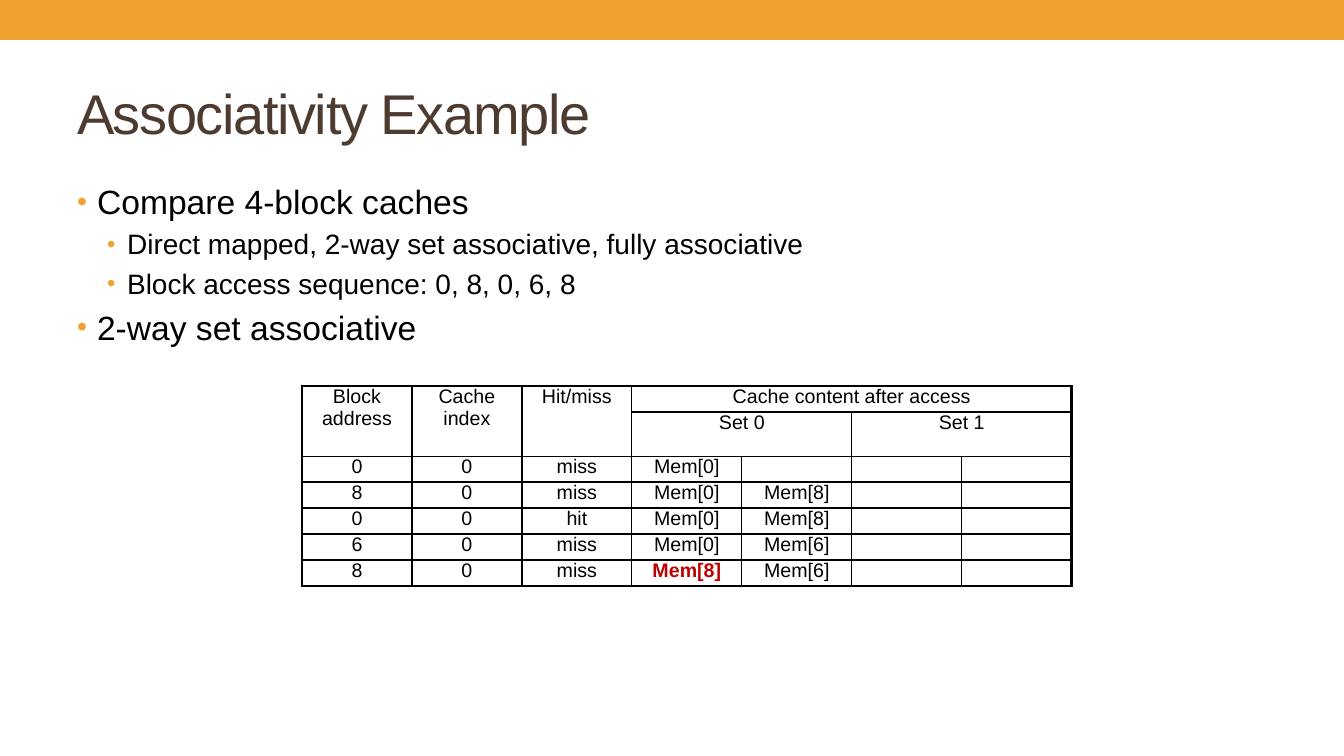
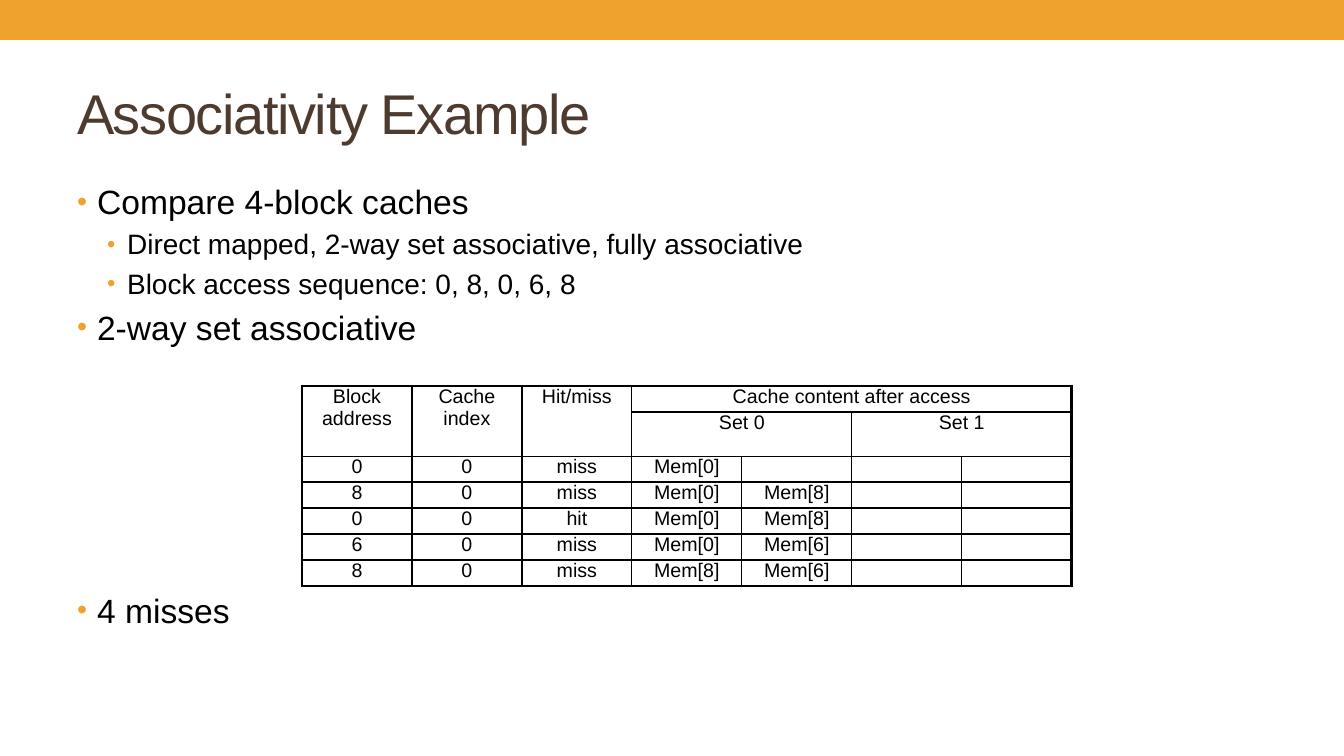
from lxml.etree import SubElement
from pptx import Presentation
from pptx.dml.color import RGBColor
from pptx.enum.shapes import MSO_SHAPE
from pptx.enum.text import MSO_ANCHOR, MSO_AUTO_SIZE, PP_ALIGN
from pptx.oxml.ns import qn
from pptx.util import Pt

EMU_PER_PX = 914400 / 100.8
SLIDE_W, SLIDE_H = 1344, 756
FONT = "Arial"
BLACK, ORANGE, BROWN, RED = "000000", "F0A22E", "4E3B30", "C00000"
LEVEL_SIZES = (24, 20)
LEVEL_INDENTS = (20, 50)
BULLET_HANG = 20

BULLETS = [
    (0, "Compare 4-block caches"),
    (1, "Direct mapped, 2-way set associative, fully associative"),
    (1, "Block access sequence: 0, 8, 0, 6, 8"),
    (0, "2-way set associative"),
]
COL_W, ROW_H, SUBHEADER_H = 110, 26, 44
CACHE_ROWS = [
    ["Block address", "Cache index", "Hit/miss", "Cache content after access"],
    ["", "", "", "Set 0", "", "Set 1"],
    ["0", "0", "miss", "Mem[0]"],
    ["8", "0", "miss", "Mem[0]", "Mem[8]"],
    ["0", "0", "hit", "Mem[0]", "Mem[8]"],
    ["6", "0", "miss", "Mem[0]", "Mem[6]"],
    ["8", "0", "miss", "Mem[8]", "Mem[6]"],
]
N_COLS = 7
MERGES = [((0, c), (1, c)) for c in range(3)] + [
    ((0, 3), (0, 6)),
    ((1, 3), (1, 4)),
    ((1, 5), (1, 6)),
]


def px(n):
    return round(n * EMU_PER_PX)


def rgb(color):
    return RGBColor.from_string(color)


def place(sp, left, top, width, height):
    sp.left, sp.top, sp.width, sp.height = map(px, (left, top, width, height))


def add_text(p, text, size, color=BLACK, bold=False, spacing=0):
    r = p.add_run()
    r.text = text
    r.font.name = FONT
    r.font.size = Pt(size)
    r.font.bold = bold
    r.font.color.rgb = rgb(color)
    if spacing:
        r.font._element.set("spc", str(spacing * 100))


def style_layout(layout):
    title, body = layout.placeholders[0], layout.placeholders[1]
    place(title, 67, 58, 1210, 109)
    place(body, 67, 176, 1210, 538)
    title.text_frame.vertical_anchor = MSO_ANCHOR.MIDDLE
    for sp in (title, body):
        sp.text_frame.auto_size = MSO_AUTO_SIZE.NONE


def add_band(layout, slide):
    sp = slide.shapes.add_shape(MSO_SHAPE.RECTANGLE, 0, 0, px(SLIDE_W), px(40))
    sp.shadow.inherit = False
    sp.fill.solid()
    sp.fill.fore_color.rgb = rgb(ORANGE)
    sp.line.fill.background()
    layout.shapes.element.insert(2, sp.element)


def add_title(slide, text):
    p = slide.shapes.title.text_frame.paragraphs[0]
    p.alignment = PP_ALIGN.LEFT
    add_text(p, text, 40, BROWN, spacing=-1)


def set_bullet(p, indent):
    pPr = p._p.get_or_add_pPr()
    pPr.set("marL", str(px(indent)))
    pPr.set("indent", str(-px(BULLET_HANG)))
    SubElement(SubElement(pPr, qn("a:buClr")), qn("a:srgbClr"), val=ORANGE)
    SubElement(pPr, qn("a:buSzPct"), val="85000")
    SubElement(pPr, qn("a:buFont"), typeface=FONT)
    SubElement(pPr, qn("a:buChar"), char="•")


def add_bullet(tf, level, text, gap=None):
    p = tf.paragraphs[0] if not tf.text else tf.add_paragraph()
    p.level = level
    if gap:
        p.space_before = px(gap)
    set_bullet(p, LEVEL_INDENTS[level])
    add_text(p, text, LEVEL_SIZES[level])


def set_borders(cell, row, col):
    outer = {
        "lnL": col == 0,
        "lnR": col + cell.span_width == N_COLS,
        "lnT": row == 0,
        "lnB": row + cell.span_height == len(CACHE_ROWS),
    }
    tcPr = cell._tc.get_or_add_tcPr()
    for side, is_outer in outer.items():
        ln = SubElement(tcPr, qn(f"a:{side}"), w=str(Pt(2.25 if is_outer else 1)))
        SubElement(SubElement(ln, qn("a:solidFill")), qn("a:srgbClr"), val=BLACK)


def fill_cell(cell, text, highlight):
    cell.margin_top = cell.margin_bottom = 0
    cell.fill.background()
    p = cell.text_frame.paragraphs[0]
    p.alignment = PP_ALIGN.CENTER
    if text:
        add_text(p, text, 14, RED if highlight else BLACK, bold=highlight)
    else:
        SubElement(p._p, qn("a:endParaRPr"), sz="1400")


def add_cache_table(slide, highlight=None):
    heights = [ROW_H, SUBHEADER_H] + [ROW_H] * (len(CACHE_ROWS) - 2)
    table = slide.shapes.add_table(
        len(CACHE_ROWS), N_COLS, px(302), px(386), px(COL_W * N_COLS), px(sum(heights))
    ).table
    table.first_row = table.horz_banding = False
    for column in table.columns:
        column.width = px(COL_W)
    for start, end in MERGES:
        table.cell(*start).merge(table.cell(*end))
    for row, texts in enumerate(CACHE_ROWS):
        table.rows[row].height = px(heights[row])
        for col in range(N_COLS):
            cell = table.cell(row, col)
            set_borders(cell, row, col)
            text = texts[col] if col < len(texts) else ""
            fill_cell(cell, text, (row, col) == highlight)


def add_example(prs, layout, highlight=None, conclusion=None):
    slide = prs.slides.add_slide(layout)
    add_title(slide, "Associativity Example")
    tf = slide.placeholders[1].text_frame
    for level, text in BULLETS:
        add_bullet(tf, level, text)
    if conclusion:
        add_bullet(tf, 0, conclusion, gap=243)
    add_cache_table(slide, highlight)
    return slide


def main():
    prs = Presentation()
    prs.slide_width, prs.slide_height = px(SLIDE_W), px(SLIDE_H)
    layout = prs.slide_layouts[1]
    style_layout(layout)
    slide = add_example(prs, layout, highlight=(6, 3))
    add_band(layout, slide)
    add_example(prs, layout, conclusion="4 misses")
    prs.save("out.pptx")


if __name__ == "__main__":
    main()
